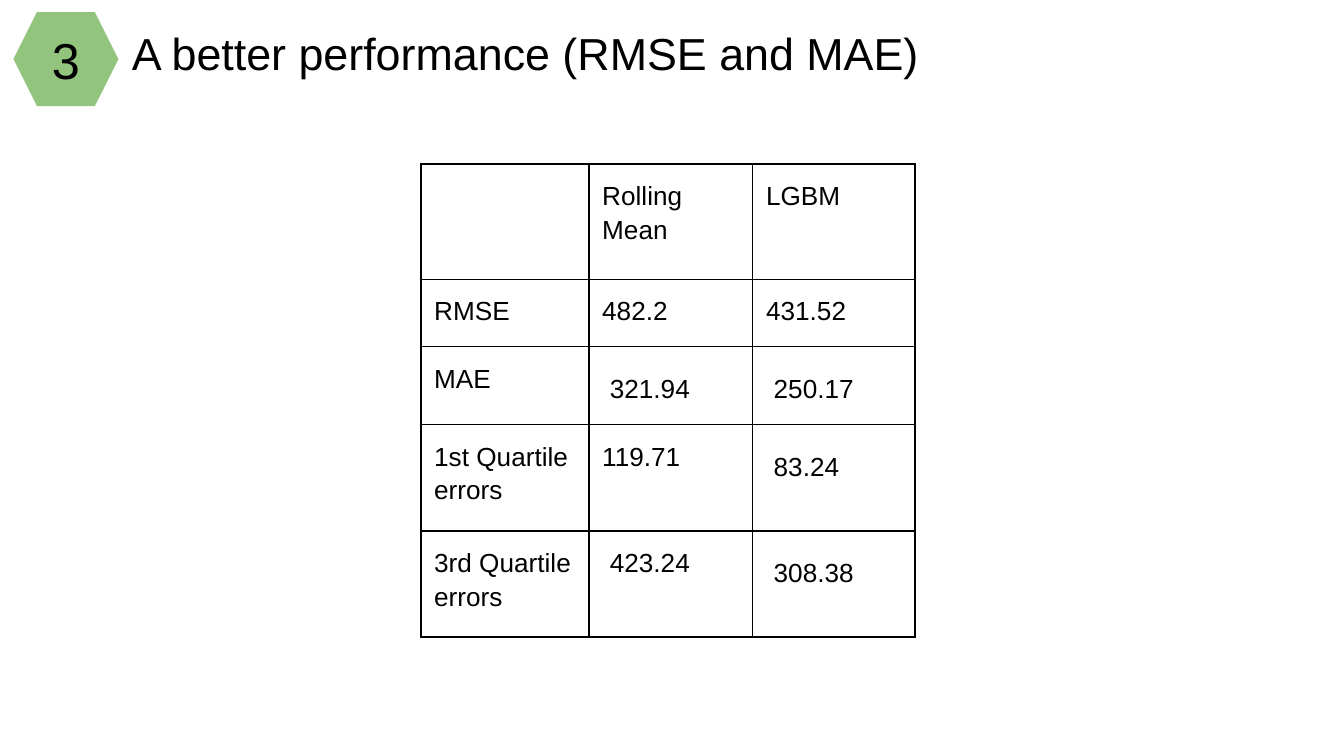
from lxml.etree import SubElement
from pptx import Presentation
from pptx.dml.color import RGBColor
from pptx.enum.shapes import MSO_SHAPE as SHAPE
from pptx.enum.text import MSO_ANCHOR as ANCHOR, MSO_AUTO_SIZE as AUTOSIZE, PP_ALIGN as ALIGN
from pptx.oxml.ns import qn
from pptx.util import Pt

BLACK, GREEN = "000000", "93C47D"
INSET = 7.2
COL_WIDTHS = [90, 87.8, 87.1]
ROW_HEIGHTS = [61.9, 36, 41.8, 56.9, 56.9]
ROWS = [
    ["", "Rolling Mean", "LGBM"],
    ["RMSE", "482.2", "431.52"],
    ["MAE", "321.94", "250.17"],
    ["1st Quartile errors", "119.71", "83.24"],
    ["3rd Quartile errors", "423.24", "308.38"],
]
# Values set in from the left, and those also set lower in their cell
INDENTED = {"321.94", "250.17", "83.24", "423.24", "308.38"}
LOWERED = INDENTED - {"423.24"}


def color(value):
    return RGBColor.from_string(value)


def write(tf, text, size=14, align=ALIGN.LEFT, spacing=1.0):
    p = tf.paragraphs[0]
    p.alignment = align
    p.line_spacing = spacing
    r = p.add_run()
    r.text = text
    r.font.name = "Arial"
    r.font.size = Pt(size)
    r.font.color.rgb = color(BLACK)


def set_insets(box, left=INSET, top=INSET):
    box.margin_left, box.margin_top = Pt(left), Pt(top)
    box.margin_right = box.margin_bottom = Pt(INSET)


def add_borders(cell):
    tc_pr = cell._tc.get_or_add_tcPr()
    for side in "LRTB":
        ln = SubElement(tc_pr, qn(f"a:ln{side}"), w=str(Pt(1)))
        fill = SubElement(ln, qn("a:solidFill"))
        SubElement(fill, qn("a:srgbClr"), val=BLACK)


def add_results_table(s, left, top):
    frame = s.shapes.add_table(len(ROWS), len(COL_WIDTHS), Pt(left), Pt(top),
                               Pt(sum(COL_WIDTHS)), Pt(sum(ROW_HEIGHTS)))
    table = frame.table
    table.first_row = table.horz_banding = False
    for col, width in zip(table.columns, COL_WIDTHS):
        col.width = Pt(width)
    for row, height, texts in zip(table.rows, ROW_HEIGHTS, ROWS):
        row.height = Pt(height)
        for cell, text in zip(row.cells, texts):
            add_borders(cell)
            cell.fill.background()
            set_insets(cell,
                       left=INSET + (4.1 if text in INDENTED else 0),
                       top=INSET + (5.4 if text in LOWERED else 0))
            if text:
                write(cell.text_frame, text, spacing=1.15)


def set_title(s, text, left, top, width, height):
    sp = s.shapes.title
    sp.left, sp.top, sp.width, sp.height = map(Pt, (left, top, width, height))
    tf = sp.text_frame
    tf.word_wrap = True
    tf.auto_size = AUTOSIZE.NONE
    tf.vertical_anchor = ANCHOR.TOP
    set_insets(tf)
    write(tf, text, size=24)


def add_number_badge(s, text, left, top, width, height):
    sp = s.shapes.add_shape(SHAPE.HEXAGON, *map(Pt, (left, top, width, height)))
    sp.shadow.inherit = False
    sp.adjustments[0] = 0.25
    sp.fill.solid()
    sp.fill.fore_color.rgb = color(GREEN)
    sp.line.fill.background()
    tf = sp.text_frame
    tf.word_wrap = True
    tf.vertical_anchor = ANCHOR.MIDDLE
    set_insets(tf)
    write(tf, text, size=27, align=ALIGN.CENTER)


def main():
    prs = Presentation()
    prs.slide_width, prs.slide_height = Pt(720), Pt(405)
    s = prs.slides.add_slide(prs.slide_layouts[5])

    # Heading with section number
    set_title(s, "A better performance (RMSE and MAE)", 63.4, 6.5, 650.9, 78.5)
    add_number_badge(s, "3", 7.2, 6.5, 56.2, 50.4)

    # Error comparison
    add_results_table(s, 225.4, 87.8)

    prs.save("out.pptx")


if __name__ == "__main__":
    main()
